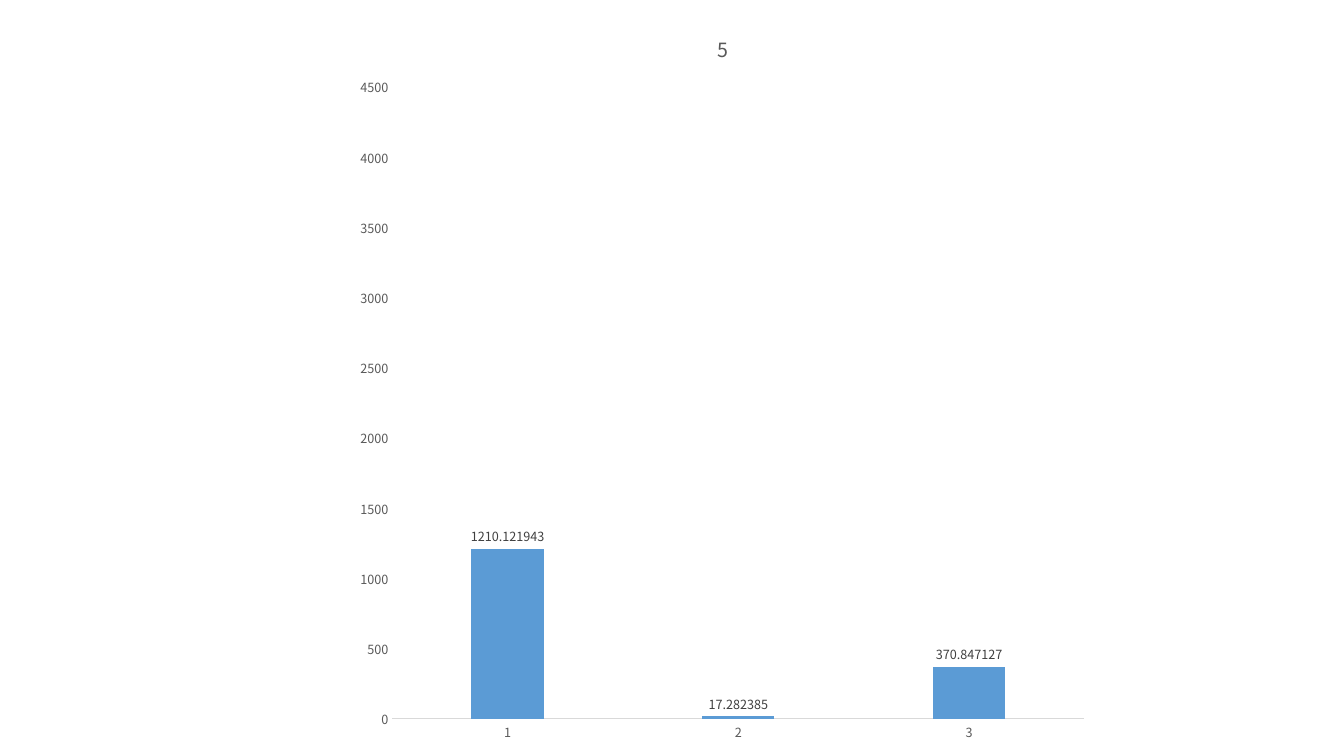
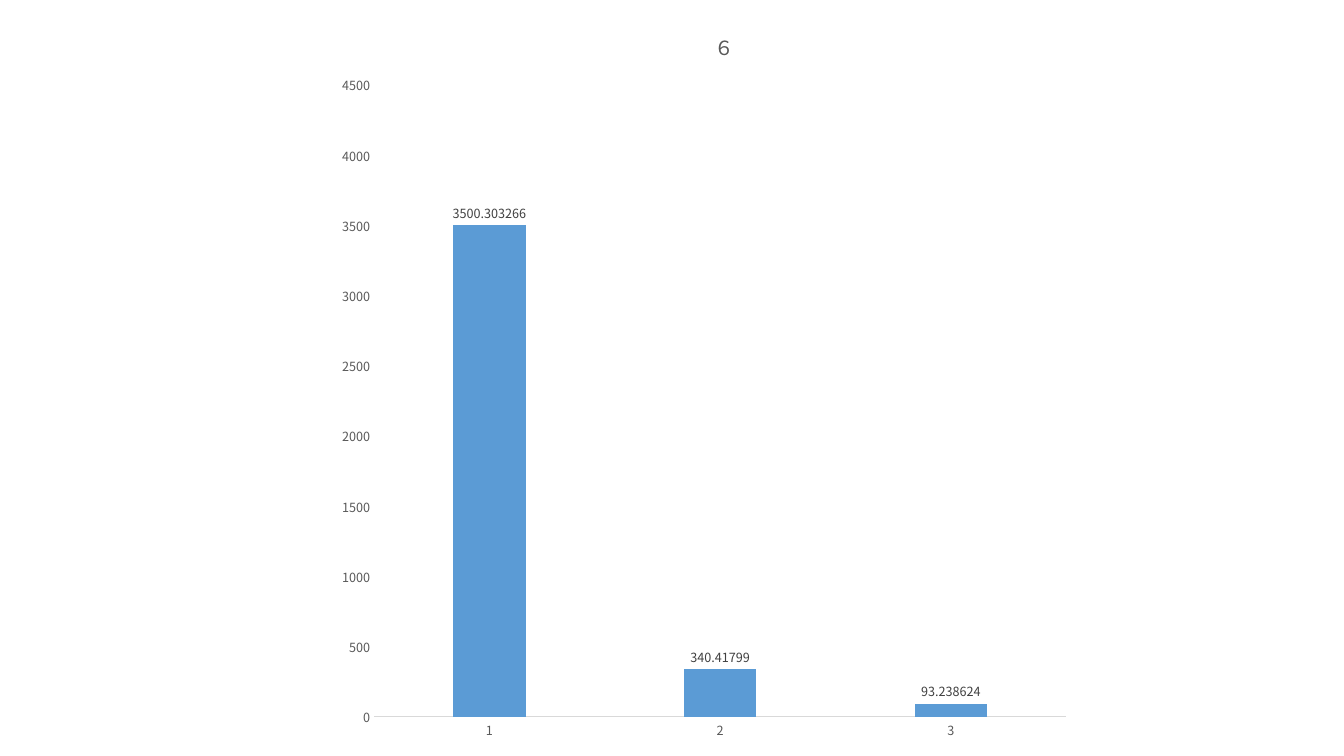
"""Build two slides, each with one clustered column chart."""
import dataclasses

import lxml.etree
import pptx
import pptx.chart.data
import pptx.dml.color
import pptx.enum.chart
import pptx.oxml.ns
import pptx.util

Cm = pptx.util.Cm
Pt = pptx.util.Pt
RGBColor = pptx.dml.color.RGBColor
qn = pptx.oxml.ns.qn

BLACK = RGBColor(0x00, 0x00, 0x00)
DARK_GREY = RGBColor(0x40, 0x40, 0x40)
GREY = RGBColor(0x59, 0x59, 0x59)
LIGHT_GREY = RGBColor(0xD9, 0xD9, 0xD9)
BLUE = RGBColor(0x5B, 0x9B, 0xD5)
FONT = "Noto Sans CJK JP"
CHART_SIZE = Cm(19)
CATEGORIES = ("1", "2", "3")
PLOT_LAYOUT = {"x": 0.063, "y": 0.113, "w": 0.918, "h": 0.838}
TITLE_TOP = 0.035


@dataclasses.dataclass(frozen=True)
class ColumnChart:
    """Position, title and values of one chart."""

    title: str
    title_x: float
    left: float
    top: float
    values: tuple[float, ...]


CHARTS = (
    ColumnChart("5", 0.49, 8.69, 0.05, (1210.121943, 17.282385, 370.847127)),
    ColumnChart("６", 0.51, 8.23, 0, (3500.303266, 340.41799, 93.238624)),
)


def style_font(font, size: float, color: RGBColor) -> None:
    """Set the shared typeface with a size and colour."""
    font.name = FONT
    font.size = Pt(size)
    font.bold = False
    font.color.rgb = color


def set_layout(parent, index: int, target: str | None, box: dict[str, float]) -> None:
    """Give a chart part a manual layout in fractions of the chart."""
    old = parent.find(qn("c:layout"))
    if old is not None:
        parent.remove(old)
    layout = lxml.etree.Element(qn("c:layout"))
    manual = lxml.etree.SubElement(layout, qn("c:manualLayout"))
    settings = {"layoutTarget": target} if target else {}
    settings |= {"xMode": "edge", "yMode": "edge"} | box
    for name, value in settings.items():
        lxml.etree.SubElement(manual, qn(f"c:{name}")).set("val", str(value))
    parent.insert(index, layout)


def style_axes(chart) -> None:
    """Format both axes without ticks or gridlines."""
    for axis in (chart.category_axis, chart.value_axis):
        axis.has_major_gridlines = False
        axis.major_tick_mark = pptx.enum.chart.XL_TICK_MARK.NONE
        axis.minor_tick_mark = pptx.enum.chart.XL_TICK_MARK.NONE
        style_font(axis.tick_labels.font, 9, GREY)
    line = chart.category_axis.format.line
    line.color.rgb = LIGHT_GREY
    line.width = Pt(0.75)
    axis = chart.value_axis
    axis.format.line.fill.background()
    axis.minimum_scale = 0
    axis.maximum_scale = 4500
    axis.major_unit = 500


def style_columns(chart) -> None:
    """Format the columns and their value labels."""
    plot = chart.plots[0]
    plot.gap_width = 219
    plot.overlap = -27
    plot.vary_by_categories = False
    series = plot.series[0]
    series.format.fill.solid()
    series.format.fill.fore_color.rgb = BLUE
    labels = series.data_labels
    labels.show_value = True
    labels.position = pptx.enum.chart.XL_LABEL_POSITION.OUTSIDE_END
    style_font(labels.font, 9, DARK_GREY)


def add_title(chart, item: ColumnChart) -> None:
    """Write and place the chart title."""
    chart.has_title = True
    tf = chart.chart_title.text_frame
    tf.text = item.title
    r = tf.paragraphs[0].runs[0]
    style_font(r.font, 14, GREY)
    ea = lxml.etree.SubElement(r._r.get_or_add_rPr(), qn("a:ea"))
    ea.set("typeface", FONT)
    title = chart._chartSpace.find(".//" + qn("c:title"))
    set_layout(title, 1, None, {"x": item.title_x, "y": TITLE_TOP})


def add_column_chart(s, item: ColumnChart) -> None:
    """Draw one column chart on a slide."""
    data = pptx.chart.data.CategoryChartData()
    data.categories = CATEGORIES
    data.add_series("Series 1", item.values)
    chart = s.shapes.add_chart(
        pptx.enum.chart.XL_CHART_TYPE.COLUMN_CLUSTERED,
        Cm(item.left), Cm(item.top), CHART_SIZE, CHART_SIZE, data,
    ).chart
    style_font(chart.font, 10, BLACK)
    chart.has_legend = False
    add_title(chart, item)
    style_axes(chart)
    style_columns(chart)
    plot_area = chart._chartSpace.find(".//" + qn("c:plotArea"))
    set_layout(plot_area, 0, "inner", PLOT_LAYOUT)


def main() -> None:
    """Create and save the presentation."""
    prs = pptx.Presentation()
    prs.slide_width = Cm(33.87)
    prs.slide_height = Cm(19.05)
    for item in CHARTS:
        add_column_chart(prs.slides.add_slide(prs.slide_layouts[6]), item)
    prs.save("out.pptx")


main()
